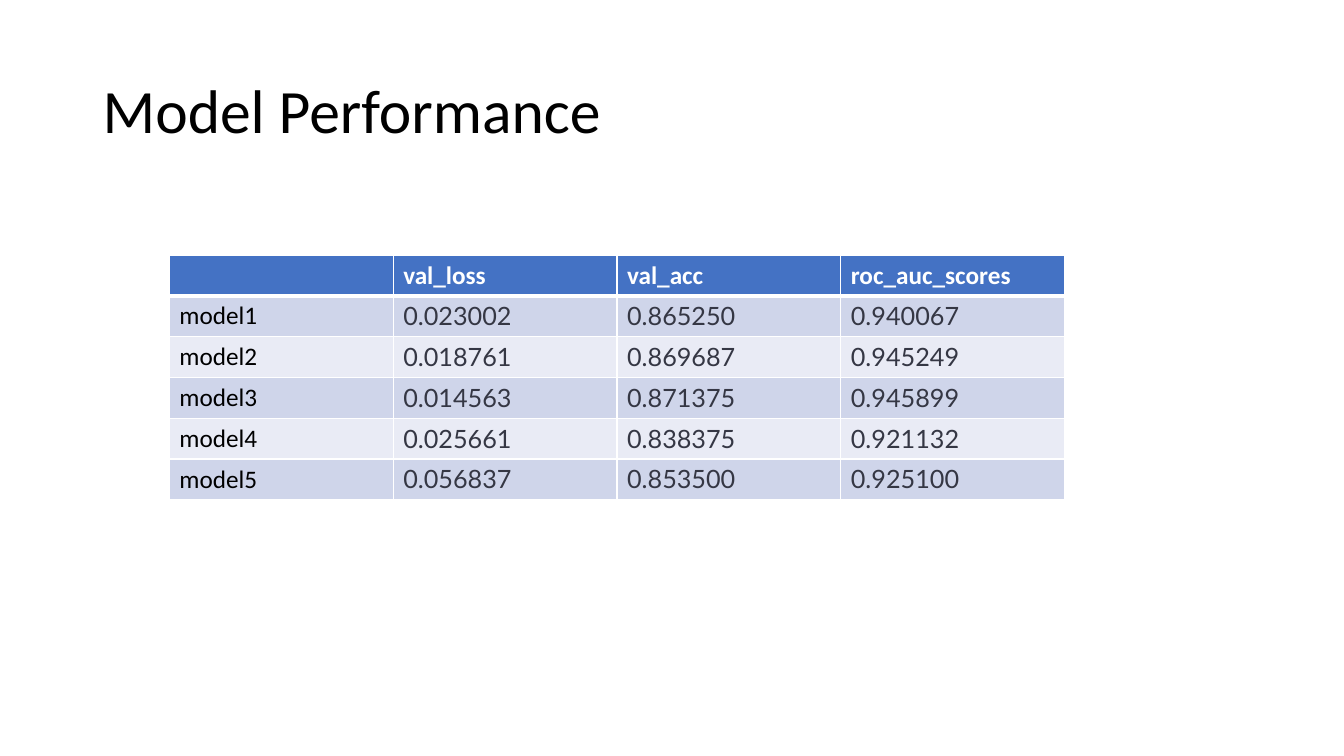
from dataclasses import astuple, dataclass

from lxml.etree import SubElement
from pptx import Presentation
from pptx.dml.color import RGBColor
from pptx.enum.text import MSO_ANCHOR
from pptx.oxml.ns import qn
from pptx.util import Inches, Pt

WHITE = RGBColor(0xFF, 0xFF, 0xFF)
BLACK = RGBColor(0x00, 0x00, 0x00)
SLATE = RGBColor(0x35, 0x37, 0x44)
BLUE = RGBColor(0x44, 0x72, 0xC4)
BANDS = (RGBColor(0xE9, 0xEB, 0xF5), RGBColor(0xCF, 0xD5, 0xEA))

WIDTH, HEIGHT = Inches(13.33), Inches(7.5)
LEFT, TOP = Inches(1.68), Inches(2.53)
COL, ROW = Inches(2.22), Inches(0.405)


@dataclass(frozen=True)
class Score:
    model: str
    loss: str
    acc: str
    auc: str


HEAD = Score("", "val_loss", "val_acc", "roc_auc_scores")
SCORES = [
    Score("model1", "0.023002", "0.865250", "0.940067"),
    Score("model2", "0.018761", "0.869687", "0.945249"),
    Score("model3", "0.014563", "0.871375", "0.945899"),
    Score("model4", "0.025661", "0.838375", "0.921132"),
    Score("model5", "0.056837", "0.853500", "0.925100"),
]


def write(frame, text: str, *, size: float = 18, font: str = "Calibri",
          color: RGBColor = BLACK, bold: bool = False, space: float = 1.0) -> None:
    para = frame.paragraphs[0]
    para.line_spacing = space
    if not text:
        para.font.size = Pt(size)
        return
    run = para.add_run()
    run.text = text
    run.font.size = Pt(size)
    run.font.name = font
    run.font.bold = bold
    run.font.color.rgb = color


def add_title(slide, text: str) -> None:
    box = slide.shapes.add_textbox(int(WIDTH * 0.069), int(HEIGHT * 0.053),
                                   int(WIDTH * 0.863), int(HEIGHT * 0.193))
    frame = box.text_frame
    frame.word_wrap = True
    frame.vertical_anchor = MSO_ANCHOR.MIDDLE
    write(frame, text, size=44, space=0.9)


def add_edges(cell, **widths: float) -> None:
    """Draw white cell borders, with widths in points by side."""
    props = cell._tc.get_or_add_tcPr()
    for side, width in widths.items():
        line = SubElement(props, qn(f"a:ln{side}"), w=str(Pt(width)))
        fill = SubElement(line, qn("a:solidFill"))
        SubElement(fill, qn("a:srgbClr"), val=str(WHITE))


def add_scores(slide, rows: list[Score]) -> None:
    cols = len(astuple(rows[0]))
    table = slide.shapes.add_table(len(rows), cols, LEFT, TOP,
                                   COL * cols, ROW * len(rows)).table
    for col in table.columns:
        col.width = COL
    for r, score in enumerate(rows):
        table.rows[r].height = ROW
        for c, text in enumerate(astuple(score)):
            cell = table.cell(r, c)
            add_edges(cell, L=1, R=1, T=3 if r == 1 else 1, B=3 if r == 0 else 1)
            cell.fill.solid()
            cell.fill.fore_color.rgb = BANDS[r % 2] if r else BLUE
            if r == 0:
                style = {"color": WHITE, "bold": True}
            elif c == 0:
                style = {"color": BLACK}
            else:
                style = {"font": "Lato", "color": SLATE}
            write(cell.text_frame, text, **style)


def main() -> None:
    deck = Presentation()
    deck.slide_width, deck.slide_height = WIDTH, HEIGHT
    slide = deck.slides.add_slide(deck.slide_layouts[6])
    add_title(slide, "Model Performance")
    add_scores(slide, [HEAD, *SCORES])
    deck.save("out.pptx")


if __name__ == "__main__":
    main()
